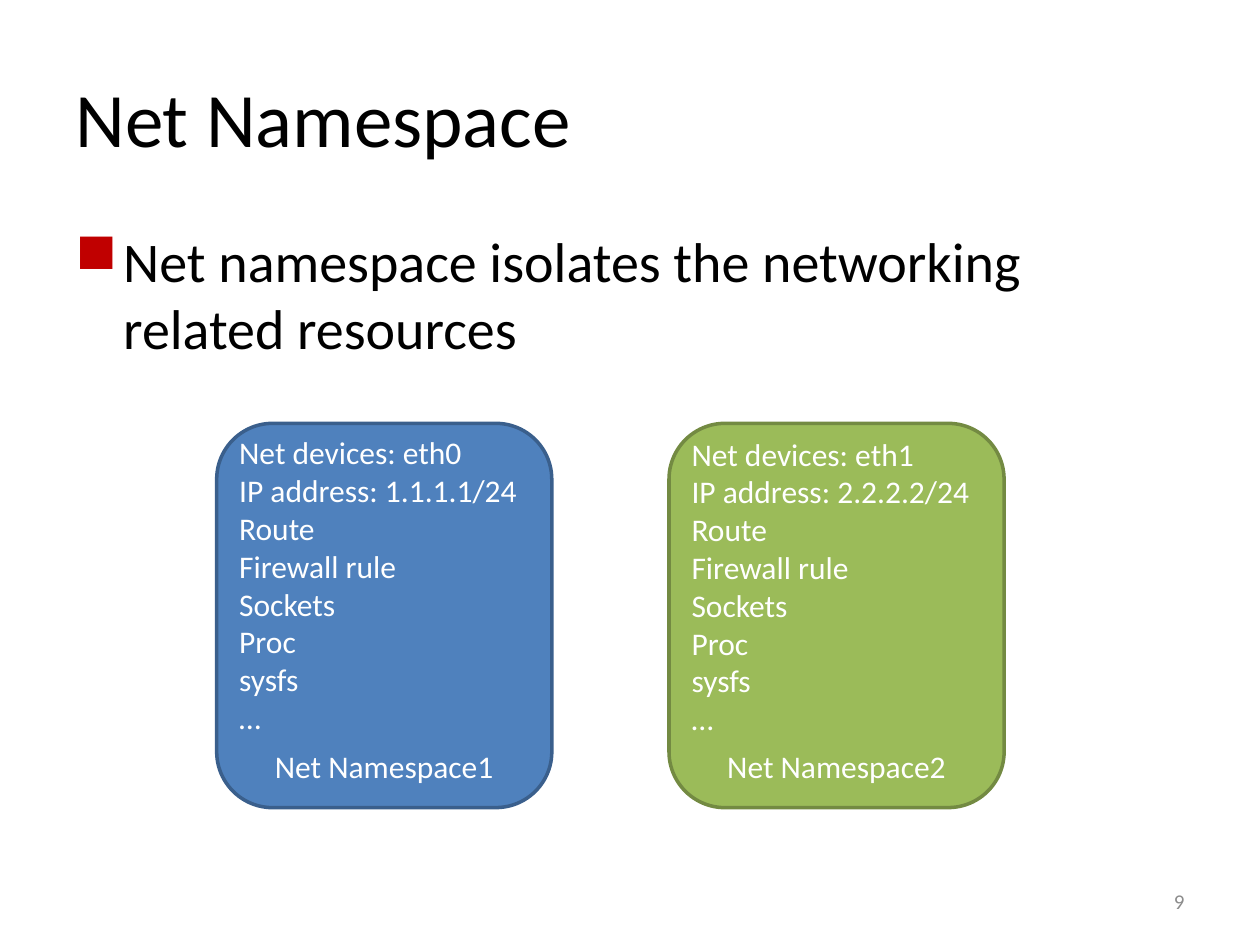
from lxml.etree import SubElement
from pptx import Presentation
from pptx.dml.color import RGBColor
from pptx.enum.shapes import MSO_SHAPE as SHAPE
from pptx.enum.text import MSO_ANCHOR as ANCHOR, PP_ALIGN as ALIGN
from pptx.oxml.ns import qn
from pptx.util import Inches, Pt

COLORS = {"text": "000000", "bullet": "C00000", "light": "FFFFFF", "muted": "8C8C8C",
          "blue": "4F81BD", "blue_edge": "3A5F8C", "green": "9BBB59", "green_edge": "738A42"}
SHARED = ["Route", "Firewall rule", "Sockets", "Proc", "sysfs", "…"]
NAMESPACES = [
    ("Net Namespace1", "eth0", "1.1.1.1/24", "blue", 0.03),
    ("Net Namespace2", "eth1", "2.2.2.2/24", "green", 0.04),
]
BOX_W, BOX_H, BOX_LEFT, BOX_TOP, BOX_STEP = 2.66, 3.05, 1.72, 3.36, 3.59


def rgb(name):
    """Return the named colour."""
    return RGBColor.from_string(COLORS[name])


def write(tf, lines, size, color, align=ALIGN.LEFT, anchor=ANCHOR.TOP):
    """Fill a text frame with one paragraph per line."""
    tf.word_wrap = True
    tf.vertical_anchor = anchor
    for i, line in enumerate(lines):
        p = tf.add_paragraph() if i else tf.paragraphs[0]
        p.alignment = align
        r = p.add_run()
        r.text = line
        r.font.name, r.font.size = "Calibri", Pt(size)
        r.font.color.rgb = rgb(color)


def add_text(s, box, lines, size, color, **layout):
    """Add a text box and return its text frame."""
    tf = s.shapes.add_textbox(*map(Inches, box)).text_frame
    write(tf, lines, size, color, **layout)
    return tf


def add_bullet(p, char, color, indent):
    """Give a paragraph a coloured bullet with a hanging indent."""
    pPr = p._p.get_or_add_pPr()
    pPr.set("marL", str(Inches(indent)))
    pPr.set("indent", str(-Inches(indent)))
    clr = SubElement(pPr, qn("a:buClr"))
    SubElement(clr, qn("a:srgbClr")).set("val", COLORS[color])
    SubElement(pPr, qn("a:buChar")).set("char", char)


def add_body(s, box, text):
    """Add the bulleted statement."""
    p = add_text(s, box, [text], 32, "text").paragraphs[0]
    p.space_before = Pt(6.4)
    add_bullet(p, "■", "bullet", 0.38)


def add_namespace(s, box, name, device, address, color, drop):
    """Add a rounded namespace box with its list of resources."""
    x, y, w, h = box
    sp = s.shapes.add_shape(SHAPE.ROUNDED_RECTANGLE, *map(Inches, box))
    sp.shadow.inherit = False
    sp.fill.solid()
    sp.fill.fore_color.rgb = rgb(color)
    sp.line.color.rgb = rgb(color + "_edge")
    sp.line.width = Pt(2)
    write(sp.text_frame, [name], 18, "light", align=ALIGN.CENTER, anchor=ANCHOR.BOTTOM)
    lines = [f"Net devices: {device}", f"IP address: {address}", *SHARED]
    add_text(s, (x + 0.08, y + drop, w - 0.08, 2.52), lines, 18, "light")


def build_slide(prs):
    """Place the title, statement, namespace boxes and page number."""
    s = prs.slides.add_slide(prs.slide_layouts[6])
    add_text(s, (0.5, 0.3, 9, 1.25), ["Net Namespace"], 44, "text", anchor=ANCHOR.MIDDLE)
    add_body(s, (0.5, 1.75, 9, 4.95), "Net namespace isolates the networking related resources")
    for i, namespace in enumerate(NAMESPACES):
        add_namespace(s, (BOX_LEFT + i * BOX_STEP, BOX_TOP, BOX_W, BOX_H), *namespace)
    add_text(s, (7.17, 6.95, 2.33, 0.4), ["9"], 12, "muted",
             align=ALIGN.RIGHT, anchor=ANCHOR.MIDDLE)


prs = Presentation()
prs.slide_width, prs.slide_height = Inches(10), Inches(7.5)
build_slide(prs)
prs.save("out.pptx")
